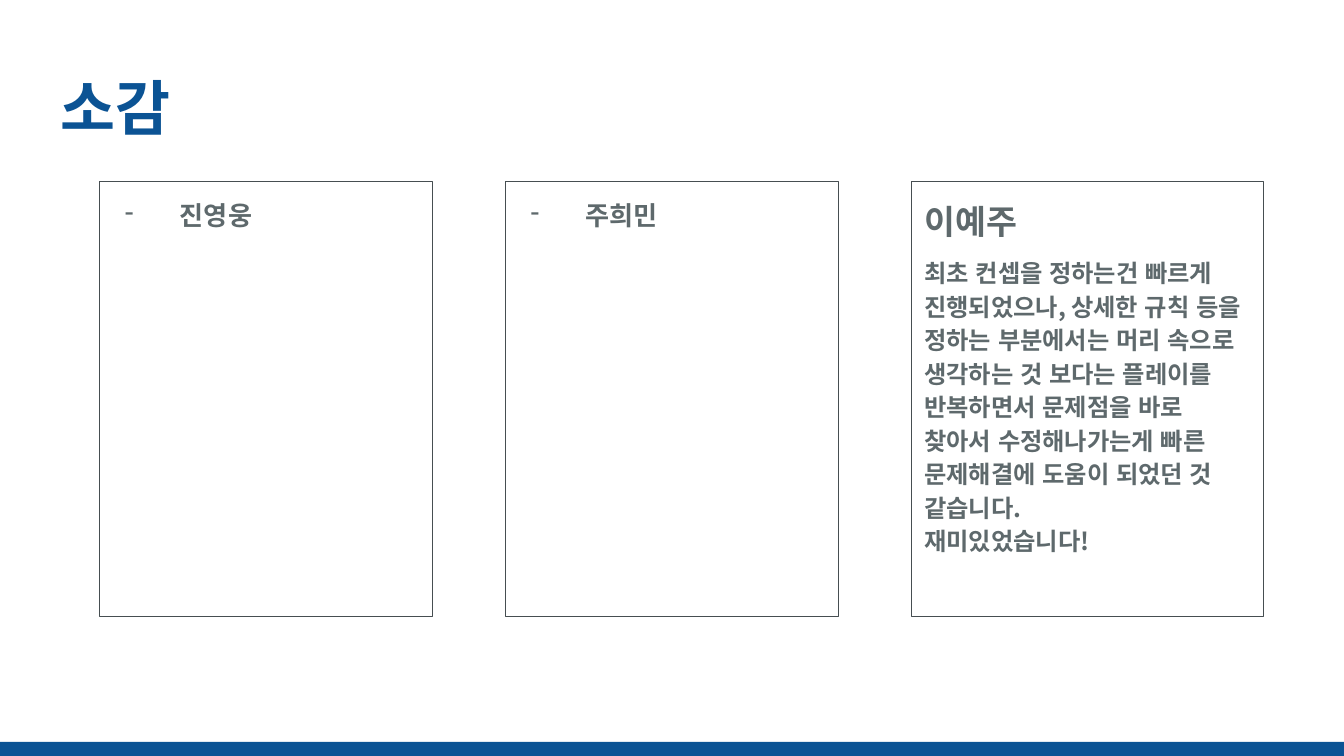
from lxml import etree
from pptx import Presentation
from pptx.dml.color import RGBColor
from pptx.enum.lang import MSO_LANGUAGE_ID
from pptx.enum.shapes import MSO_SHAPE
from pptx.enum.text import MSO_ANCHOR, PP_ALIGN
from pptx.oxml.ns import qn
from pptx.util import Inches, Pt

RECT = MSO_SHAPE.RECTANGLE
TOP, MIDDLE = MSO_ANCHOR.TOP, MSO_ANCHOR.MIDDLE
LEFT = PP_ALIGN.LEFT
KOREAN = MSO_LANGUAGE_ID.KOREAN

FONT = "Noto Sans CJK KR"
BLUE = RGBColor(0x0B, 0x53, 0x94)
GRAY = RGBColor(0x5E, 0x69, 0x6C)
OUTLINE = RGBColor(0x46, 0x4E, 0x51)

CARD_LEFT, CARD_TOP, CARD_HEIGHT = 0.74, 1.35, 3.24
CARD_GAP = 0.54
NAME_WIDTH, COMMENT_WIDTH = 2.48, 2.62
COMMENT = [
    "최초 컨셉을 정하는건 빠르게 진행되었으나, 상세한 규칙 등을 정하는 부분에서는 "
    "머리 속으로 생각하는 것 보다는 플레이를 반복하면서 문제점을 바로 찾아서 "
    "수정해나가는게 빠른 문제해결에 도움이 되었던 것 같습니다.",
    "재미있었습니다!",
]


def setup_frame(tf, anchor):
    tf.word_wrap = True
    tf.vertical_anchor = anchor
    tf.margin_left = tf.margin_right = Inches(0.1)
    tf.margin_top = tf.margin_bottom = Inches(0.1)


def add_run(p, text, size, color):
    r = p.add_run()
    r.text = text
    r.font.size = Pt(size)
    r.font.bold = True
    r.font.color.rgb = color
    r.font.name = FONT
    r.font.language_id = KOREAN
    # East Asian typeface for the Korean letters
    latin = r.font._element.find(qn("a:latin"))
    latin.addnext(etree.Element(qn("a:ea"), typeface=FONT))


def add_dash(p):
    pPr = p._p.get_or_add_pPr()
    pPr.set("marL", str(Inches(0.5)))
    pPr.set("indent", str(Inches(-0.41)))
    color = etree.SubElement(pPr, qn("a:buClr"))
    etree.SubElement(color, qn("a:srgbClr"), val=str(GRAY))
    etree.SubElement(pPr, qn("a:buChar"), char="-")


def add_paragraph(tf, text, size, first=False, before=0):
    p = tf.paragraphs[0] if first else tf.add_paragraph()
    p.alignment = LEFT
    p.line_spacing = 1.15
    if before:
        p.space_before = Pt(before)
    add_run(p, text, size, GRAY)
    return p


def add_title(slide, text):
    tb = slide.shapes.add_textbox(Inches(0.35), Inches(0.45), Inches(9.32), Inches(0.68))
    setup_frame(tb.text_frame, MIDDLE)
    add_run(tb.text_frame.paragraphs[0], text, 32, BLUE)


def add_bar(slide):
    sp = slide.shapes.add_shape(RECT, 0, Inches(5.52), Inches(10), Inches(0.11))
    sp.shadow.inherit = False
    sp.fill.solid()
    sp.fill.fore_color.rgb = BLUE
    sp.line.fill.background()


def add_card(slide, column, width):
    left = CARD_LEFT + column * (NAME_WIDTH + CARD_GAP)
    sp = slide.shapes.add_shape(RECT, Inches(left), Inches(CARD_TOP),
                                Inches(width), Inches(CARD_HEIGHT))
    sp.shadow.inherit = False
    sp.fill.background()
    sp.line.color.rgb = OUTLINE
    sp.line.width = Pt(0.75)
    setup_frame(sp.text_frame, TOP)
    return sp.text_frame


def main():
    prs = Presentation()
    # Widescreen, 16:9
    prs.slide_width = Inches(10)
    prs.slide_height = Inches(10) * 9 // 16
    slide = prs.slides.add_slide(prs.slide_layouts[6])

    # Bottom bar and title
    add_bar(slide)
    add_title(slide, "소감")

    # Cards with a name only
    for column, name in enumerate(["진영웅", "주희민"]):
        tf = add_card(slide, column, NAME_WIDTH)
        add_dash(add_paragraph(tf, name, 14, first=True))

    # Card with a name and a comment
    tf = add_card(slide, 2, COMMENT_WIDTH)
    add_paragraph(tf, "이예주", 18, first=True)
    for i, text in enumerate(COMMENT):
        add_paragraph(tf, text, 13, before=7 if i == 0 else 0)

    prs.save("out.pptx")


if __name__ == "__main__":
    main()
